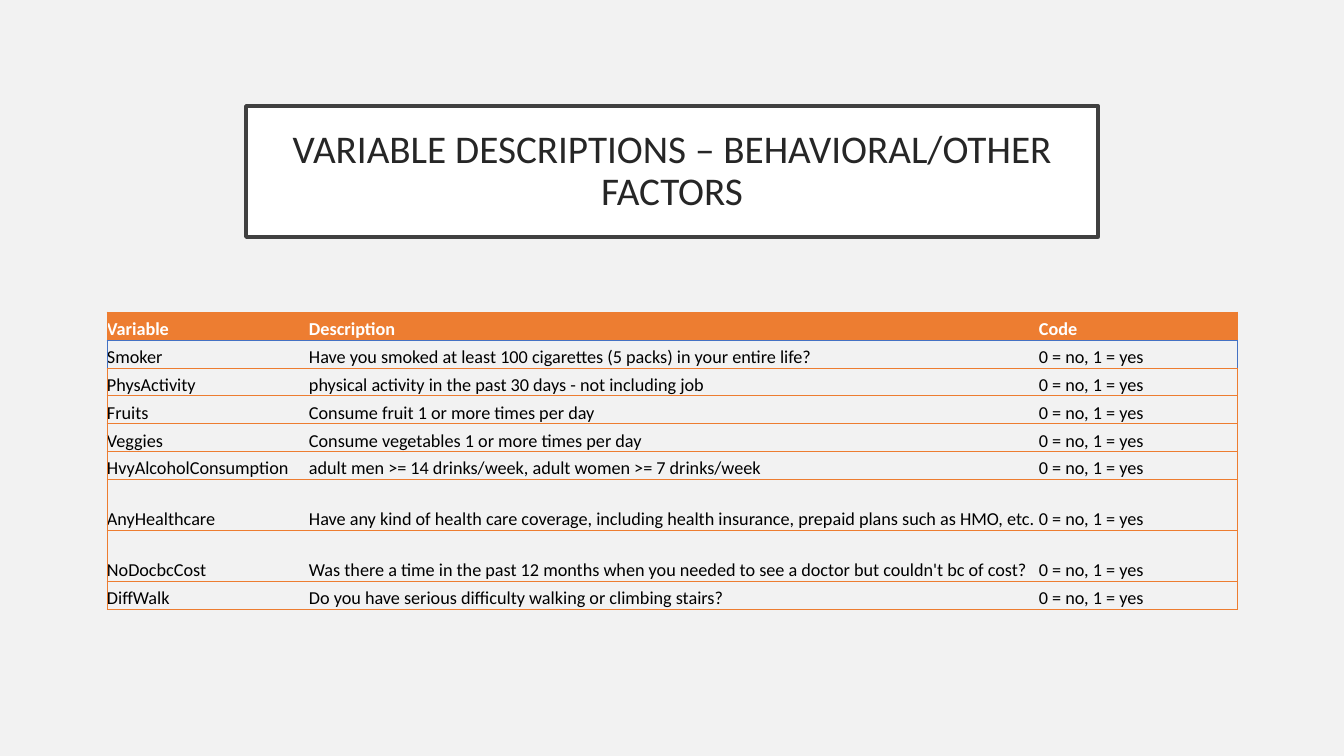
"""Builds a slide with a table of behavioral and other variables."""
import dataclasses

import lxml.etree
import pptx
import pptx.dml.color
import pptx.enum.text
import pptx.oxml.ns
import pptx.util


@dataclasses.dataclass(frozen=True)
class Theme:
    font: str = "Calibri"
    background: str = "F2F2F2"
    panel: str = "FFFFFF"
    frame: str = "404040"
    title: str = "262626"
    header: str = "FFFFFF"
    body: str = "000000"
    orange: str = "ED7D31"
    blue: str = "4472C4"
    title_size: int = 28
    table_size: int = 13
    frame_width: float = 2.5
    border_width: float = 0.75


THEME = Theme()
PX = 914400 / 100.8
NO_STYLE = "{2D5ABB26-0587-4C30-8999-92F81FD0307C}"
COLUMNS = [202, 730, 199]
ROW, TALL_ROW = 28, 51
TALL_VARIABLES = {"AnyHealthcare", "NoDocbcCost"}
CODE = "0 = no, 1 = yes"
VARIABLES = [
    ("Smoker", "Have you smoked at least 100 cigarettes (5 packs) in your entire life?"),
    ("PhysActivity", "physical activity in the past 30 days - not including job"),
    ("Fruits", "Consume fruit 1 or more times per day"),
    ("Veggies", "Consume vegetables 1 or more times per day"),
    ("HvyAlcoholConsumption", "adult men >= 14 drinks/week, adult women >= 7 drinks/week"),
    ("AnyHealthcare", "Have any kind of health care coverage, including health insurance, "
                      "prepaid plans such as HMO, etc."),
    ("NoDocbcCost", "Was there a time in the past 12 months when you needed to see a doctor "
                    "but couldn't bc of cost?"),
    ("DiffWalk", "Do you have serious difficulty walking or climbing stairs?"),
]
ROWS = [("Variable", "Description", "Code")] + [(*row, CODE) for row in VARIABLES]


def px(*lengths):
    return [pptx.util.Emu(round(length * PX)) for length in lengths]


def add_run(p, text, size, color, bold=False):
    r = p.add_run()
    r.text = text
    r.font.name = THEME.font
    r.font.size = pptx.util.Pt(size)
    r.font.bold = bold
    r.font.color.rgb = pptx.dml.color.RGBColor.from_string(color)


prs = pptx.Presentation()
prs.slide_width, prs.slide_height = px(1344, 756)
s = prs.slides.add_slide(prs.slide_layouts[5])
s.background.fill.solid()
s.background.fill.fore_color.rgb = pptx.dml.color.RGBColor.from_string(THEME.background)

title = s.shapes.title
title.left, title.top, title.width, title.height = px(246, 106, 852, 131)
title.fill.solid()
title.fill.fore_color.rgb = pptx.dml.color.RGBColor.from_string(THEME.panel)
title.line.color.rgb = pptx.dml.color.RGBColor.from_string(THEME.frame)
title.line.width = pptx.util.Pt(THEME.frame_width)
tf = title.text_frame
tf.word_wrap = True
tf.auto_size = pptx.enum.text.MSO_AUTO_SIZE.NONE
tf.vertical_anchor = pptx.enum.text.MSO_ANCHOR.MIDDLE
tf.margin_left, tf.margin_top, tf.margin_right, tf.margin_bottom = px(20, 20, 20, 20)
p = tf.paragraphs[0]
p.alignment = pptx.enum.text.PP_ALIGN.CENTER
p.line_spacing = 0.9
add_run(p, "VARIABLE DESCRIPTIONS – BEHAVIORAL/OTHER FACTORS", THEME.title_size, THEME.title)

heights = [TALL_ROW if row[0] in TALL_VARIABLES else ROW for row in ROWS]
frame = s.shapes.add_table(len(ROWS), len(COLUMNS), *px(107, 312, sum(COLUMNS), sum(heights)))
table = frame.table
table.horz_banding = False
table._tbl.tblPr.find(pptx.oxml.ns.qn("a:tableStyleId")).text = NO_STYLE
for column, width in zip(table.columns, px(*COLUMNS)):
    column.width = width
for row, height in zip(table.rows, px(*heights)):
    row.height = height

for i, texts in enumerate(ROWS):
    is_header = i == 0
    side = THEME.blue if i == 1 else THEME.orange
    bottom = THEME.blue if is_header else THEME.orange
    for j, text in enumerate(texts):
        cell = table.cell(i, j)
        cell.margin_left = cell.margin_top = cell.margin_right = cell.margin_bottom = 0
        cell.vertical_anchor = pptx.enum.text.MSO_ANCHOR.BOTTOM
        add_run(cell.text_frame.paragraphs[0], text, THEME.table_size,
                THEME.header if is_header else THEME.body, is_header)
        borders = {"a:lnT": side, "a:lnB": bottom}
        if j == 0:
            borders = {"a:lnL": side, **borders}
        elif j == len(COLUMNS) - 1:
            borders = {"a:lnR": side, **borders}
        tcPr = cell._tc.get_or_add_tcPr()
        for tag, color in borders.items():
            ln = lxml.etree.SubElement(tcPr, pptx.oxml.ns.qn(tag),
                                       w=str(pptx.util.Pt(THEME.border_width)))
            fill = lxml.etree.SubElement(ln, pptx.oxml.ns.qn("a:solidFill"))
            lxml.etree.SubElement(fill, pptx.oxml.ns.qn("a:srgbClr"), val=color)
        if is_header:
            cell.fill.solid()
            cell.fill.fore_color.rgb = pptx.dml.color.RGBColor.from_string(THEME.orange)
        else:
            cell.fill.background()

prs.save("out.pptx")
